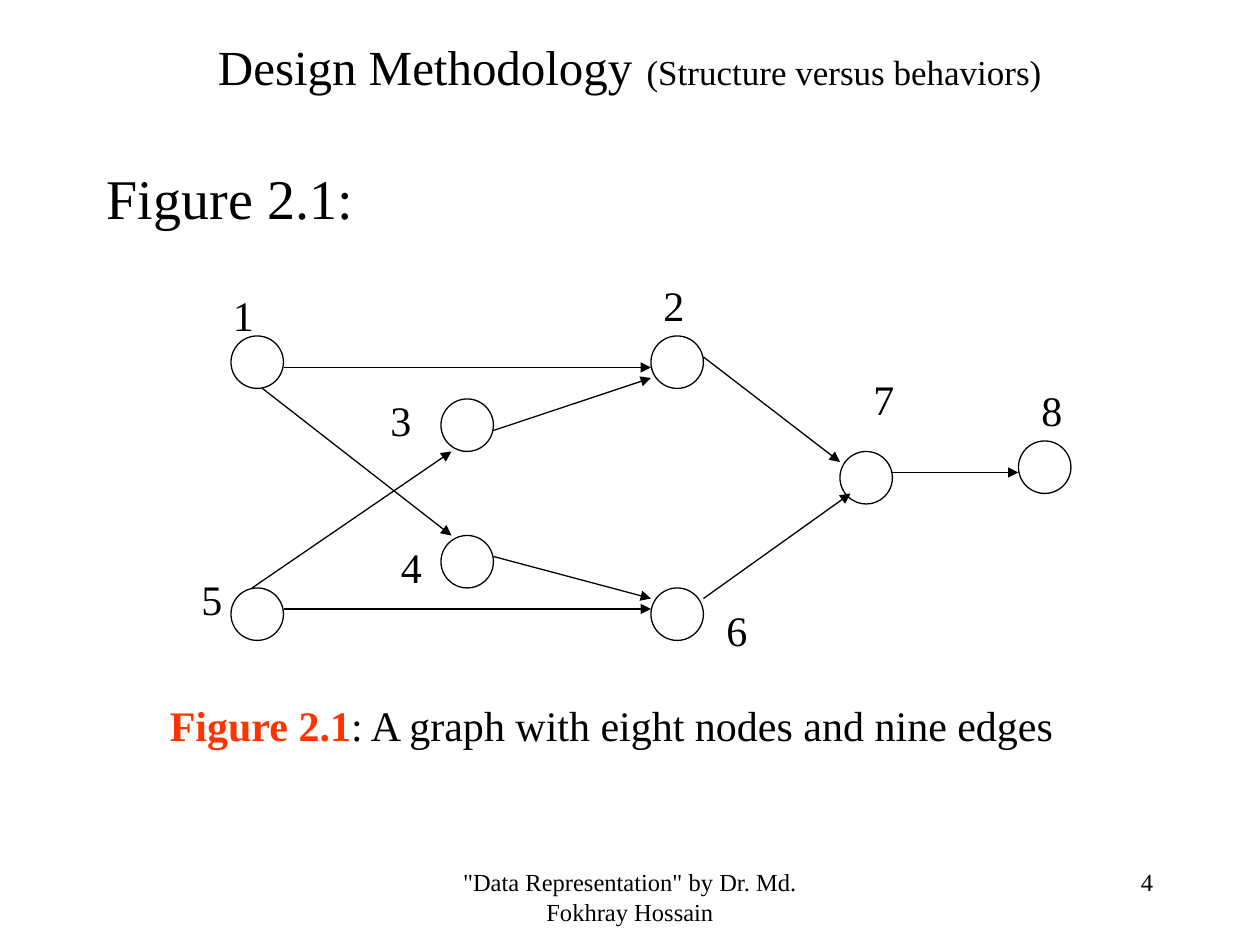
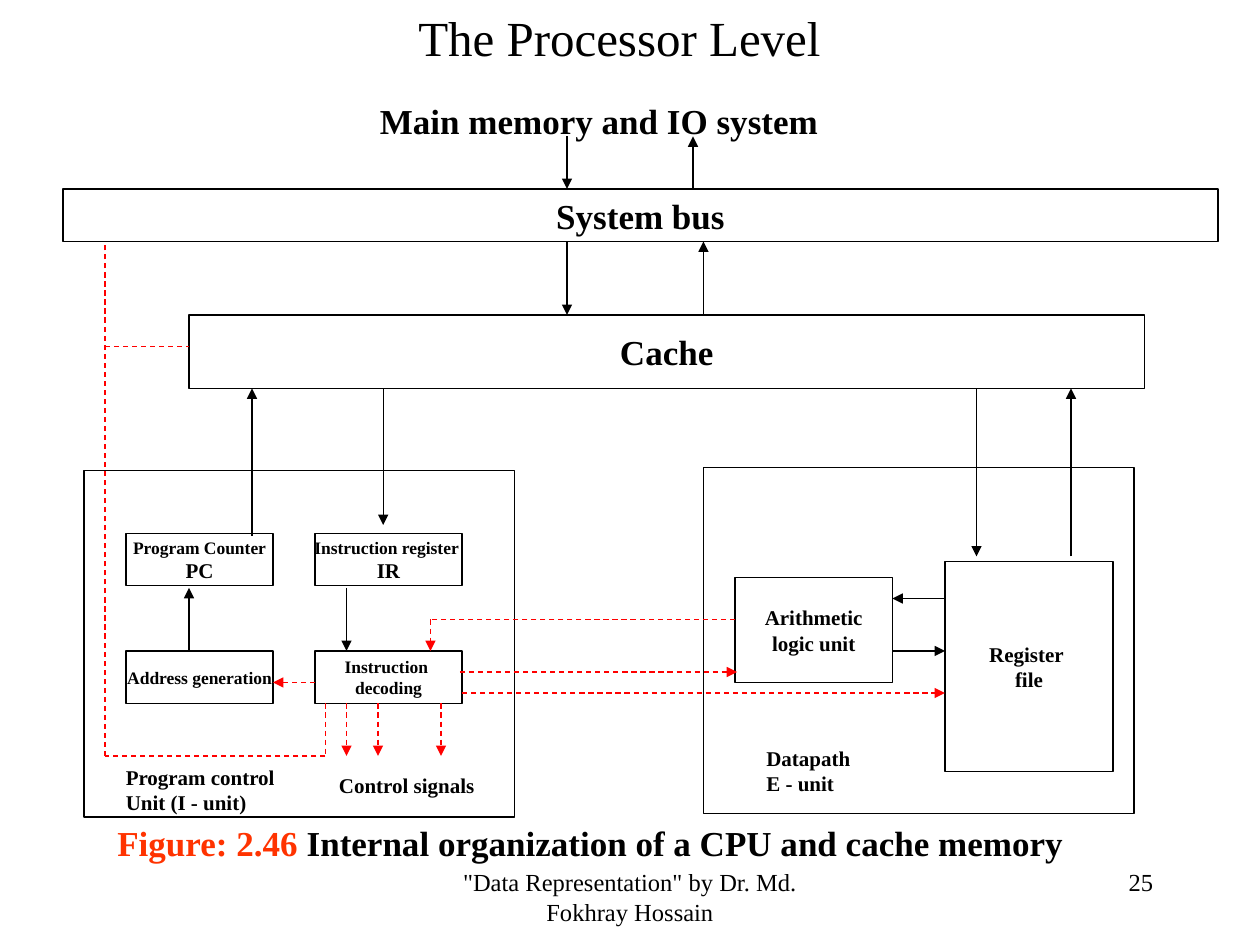
from lxml import etree
from pptx import Presentation
from pptx.dml.color import RGBColor
from pptx.enum.dml import MSO_LINE
from pptx.enum.shapes import MSO_CONNECTOR as CONNECTOR, MSO_SHAPE as SHAPE
from pptx.enum.text import MSO_ANCHOR as ANCHOR, PP_ALIGN as ALIGN
from pptx.oxml.ns import qn
from pptx.util import Cm, Pt

FONT = "Times New Roman"
BLACK, WHITE, RED, ORANGE = "000000", "FFFFFF", "FF0000", "FF3300"
GRID_STEP = 2.54 / 12
LINE_WIDTH = Pt(0.75)
FOOTER = '"Data Representation" by Dr. Md. Fokhray Hossain'

NODES = {
    "1": ((22, 32), (21, 27)),
    "2": ((62, 32), (62, 26)),
    "3": ((42, 38), (36, 37)),
    "4": ((42, 51), (37, 51)),
    "5": ((22, 56), (18, 54)),
    "6": ((62, 56), (68, 57)),
    "7": ((80, 43), (82, 35)),
    "8": ((97, 42), (98, 36)),
}
EDGES = [
    (27, 35, 62, 35), (27, 58, 62, 58), (25, 37, 43, 51),
    (24, 56, 43, 43), (47, 41, 62, 36), (47, 53, 62, 57),
    (67, 34, 80, 44), (67, 57, 81, 47), (85, 45, 97, 45),
]

UNITS = [
    ((6, 18, 110, 5), [("System bus", 20)]),
    ((18, 30, 91, 7), [("Cache", 20)]),
    ((8, 44.8, 41, 33), []),
    ((67, 44.5, 41, 33), []),
    ((12, 50.8, 14, 5), [("Program Counter", 10), ("PC", 12)]),
    ((30, 50.8, 14, 5), [("Instruction register ", 10), ("IR", 12)]),
    ((12, 62, 14, 5), [("Address generation", 10)]),
    ((30, 62, 14, 5), [("Instruction ", 10), ("decoding", 10)]),
    ((70, 55, 15, 10), [("Arithmetic", 12), ("logic unit", 12)]),
    ((90, 53.5, 16, 20), [("Register ", 12), ("file", 12)]),
]
DATA_ARROWS = [
    (54, 13, 54, 18), (66, 18, 66, 13), (54, 23, 54, 30), (67, 30, 67, 23),
    (93, 37, 93, 53), (102, 53, 102, 37), (90, 57, 85, 57), (85, 62, 90, 62),
    (33, 56, 33, 62), (18, 62, 18, 56), (24, 51, 24, 37), (36.5, 37, 36.5, 50),
]
CONTROL_ARROWS = [
    (30, 65, 26, 65), (33, 67, 33, 72), (36, 67, 36, 72), (42, 67, 42, 72),
    (43.8, 64, 70.2, 64), (44, 66, 90, 66), (41, 59, 41, 62),
]
CONTROL_LINES = [
    (31, 67, 31, 72), (31, 72, 10, 72), (10, 72, 10, 23),
    (70, 59, 41, 59), (10, 33, 18, 33),
]
UNIT_LABELS = [
    ((10.8, 72.2, 18, 6), ["Program control", "Unit (I - unit)"]),
    ((31.1, 73, 16, 4), ["Control signals"]),
    ((71.8, 70.4, 14, 6), ["Datapath", "E - unit"]),
]


def color(value):
    """Return the colour for a hex string."""
    return RGBColor.from_string(value)


def grid(*values):
    """Turn grid steps into lengths."""
    return [Cm(value * GRID_STEP) for value in values]


def span_of(text, size, bold=False, tint=BLACK):
    """Describe one run of text."""
    return text, size, bold, tint


def write(frame, paragraphs, align=ALIGN.LEFT):
    """Fill a text frame with paragraphs made of spans."""
    for index, spans in enumerate(paragraphs):
        para = frame.paragraphs[0] if index == 0 else frame.add_paragraph()
        para.alignment = align
        for text, size, bold, tint in spans:
            span = para.add_run()
            span.text = text
            span.font.name = FONT
            span.font.size = Pt(size)
            span.font.bold = bold
            span.font.color.rgb = color(tint)


def add_text(page, place, paragraphs, align=ALIGN.LEFT, anchor=ANCHOR.TOP):
    """Add a wrapping text box."""
    box = page.shapes.add_textbox(*grid(*place))
    box.text_frame.word_wrap = True
    box.text_frame.vertical_anchor = anchor
    write(box.text_frame, paragraphs, align)


def add_outline(page, kind, place, paragraphs=()):
    """Add a white shape with a thin black line and centred text."""
    box = page.shapes.add_shape(kind, *grid(*place))
    box.shadow.inherit = False
    box.fill.solid()
    box.fill.fore_color.rgb = color(WHITE)
    box.line.color.rgb = color(BLACK)
    box.line.width = LINE_WIDTH
    box.text_frame.word_wrap = False
    box.text_frame.vertical_anchor = ANCHOR.MIDDLE
    write(box.text_frame, paragraphs, ALIGN.CENTER)


def add_line(page, ends, tint=BLACK, dashed=False, arrow=True):
    """Add a straight line, with an arrowhead at its end if wanted."""
    link = page.shapes.add_connector(CONNECTOR.STRAIGHT, *grid(*ends))
    link.line.color.rgb = color(tint)
    link.line.width = LINE_WIDTH
    if dashed:
        link.line.dash_style = MSO_LINE.DASH
    if arrow:
        etree.SubElement(link.line._get_or_add_ln(), qn("a:tailEnd"), type="triangle")
    etree.SubElement(link._element.spPr, qn("a:effectLst"))


def add_page(deck, title_place, title, number):
    """Add a blank page with its title, footer and page number."""
    page = deck.slides.add_slide(deck.slide_layouts[6])
    add_text(page, (41, 82, 38, 6), [[span_of(FOOTER, 14)]], ALIGN.CENTER)
    add_text(page, (86, 82, 25, 6), [[span_of(number, 14)]], ALIGN.RIGHT)
    add_text(page, title_place, [title], ALIGN.CENTER, ANCHOR.MIDDLE)
    return page


def build_graph_page(deck):
    """Build the graph of nodes and edges."""
    title = [span_of("Design Methodology", 28), span_of(" ", 32),
             span_of("(Structure versus behaviors)", 20)]
    page = add_page(deck, (9, 2, 102, 8), title, "4")
    add_text(page, (9, 15, 102, 8), [[span_of("Figure 2.1:", 32)]])
    for name, (node, label) in NODES.items():
        add_outline(page, SHAPE.OVAL, (*node, 5, 5))
        add_text(page, (*label, 4, 6), [[span_of(name, 24)]])
    for edge in EDGES:
        add_line(page, edge)
    add_text(page, (15, 66, 91, 6), [[
        span_of("Figure 2.1", 24, True, ORANGE),
        span_of(": A graph with eight nodes and nine edges", 24)]])


def build_processor_page(deck):
    """Build the block diagram of the processor."""
    title = [span_of("The Processor Level", 28)]
    page = add_page(deck, (8, 0, 102, 7), title, "25")
    for place, lines in UNITS:
        add_outline(page, SHAPE.RECTANGLE, place,
                    [[span_of(text, size, True)] for text, size in lines])
    for ends in DATA_ARROWS:
        add_line(page, ends)
    for ends in CONTROL_ARROWS:
        add_line(page, ends, RED, dashed=True)
    for ends in CONTROL_LINES:
        add_line(page, ends, RED, dashed=True, arrow=False)
    add_text(page, (35, 8.9, 51, 5.3),
             [[span_of("Main memory and IO system", 20, True)]])
    for place, lines in UNIT_LABELS:
        add_text(page, place, [[span_of(text, 12, True)] for text in lines])
    add_text(page, (10, 77, 97, 6), [[
        span_of("Figure: 2.46 ", 20, True, ORANGE),
        span_of("Internal organization of a CPU and cache memory", 20, True),
        span_of(" ", 24, True)]])


def main():
    """Build and save the deck."""
    deck = Presentation()
    deck.slide_width, deck.slide_height = Cm(25.4), Cm(19.05)
    build_graph_page(deck)
    build_processor_page(deck)
    deck.save("out.pptx")


if __name__ == "__main__":
    main()
